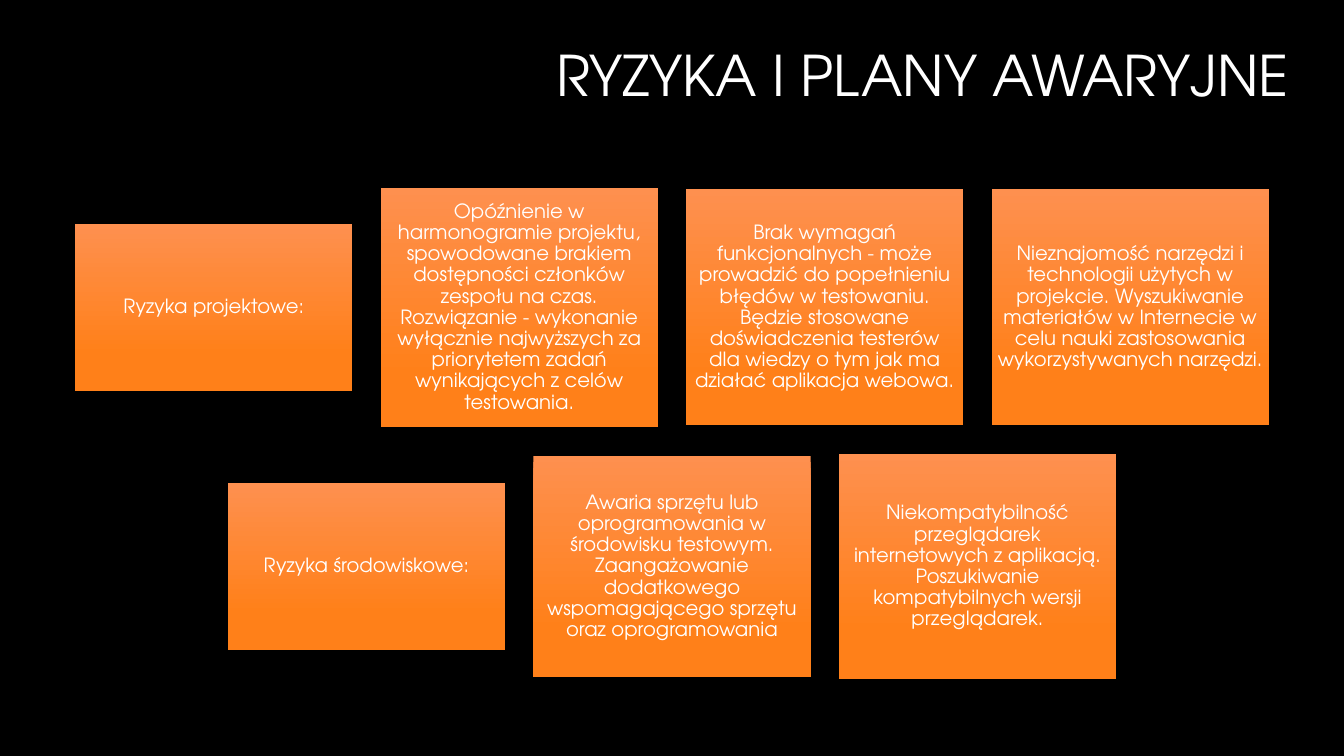
from pptx import Presentation
from pptx.dml.color import RGBColor as Rgb
from pptx.enum.shapes import MSO_SHAPE as Shape
from pptx.enum.text import MSO_ANCHOR as Anchor, PP_ALIGN as Align
from pptx.util import Inches, Pt

COLORS = {"back": "000000", "text": "FFFFFF", "light": "FE904F", "deep": "FF8019"}
FONT = "TeX Gyre Adventor"
WIDTH, HEIGHT = 13.33, 7.5
CARD, GAP = 2.75, 0.28
STEP = CARD + GAP

# Each row: vertical centre, then (card height, text) from left to right
ROWS = [
    (3.05, [
        (1.65, "Ryzyka projektowe:"),
        (2.37, "Opóźnienie w harmonogramie projektu, spowodowane brakiem "
               "dostępności członków zespołu na czas. Rozwiązanie - wykonanie "
               "wyłącznie najwyższych za priorytetem zadań wynikających z celów "
               "testowania."),
        (2.34, "Brak wymagań funkcjonalnych - może prowadzić do popełnieniu "
               "błędów w testowaniu. Będzie stosowane doświadczenia testerów dla "
               "wiedzy o tym jak ma działać aplikacja webowa."),
        (2.34, "Nieznajomość narzędzi i technologii użytych w projekcie. "
               "Wyszukiwanie materiałów w Internecie w celu nauki zastosowania "
               "wykorzystywanych narzędzi."),
    ]),
    (5.62, [
        (1.65, "Ryzyka środowiskowe:"),
        (2.2, "Awaria sprzętu lub oprogramowania w środowisku testowym. "
              "Zaangażowanie dodatkowego wspomagającego sprzętu oraz "
              "oprogramowania"),
        (2.23, "Niekompatybilność przeglądarek internetowych z aplikacją. "
               "Poszukiwanie kompatybilnych wersji przeglądarek."),
    ]),
]


class Deck:
    def __init__(self):
        self.prs = Presentation()
        self.prs.slide_width, self.prs.slide_height = Inches(WIDTH), Inches(HEIGHT)
        self.slide = self.prs.slides.add_slide(self.prs.slide_layouts[6])
        fill = self.slide.background.fill
        fill.solid()
        fill.fore_color.rgb = self.color("back")

    def color(self, name):
        return Rgb.from_string(COLORS[name])

    def add_text(self, frame, text, size, align):
        frame.word_wrap = True
        frame.vertical_anchor = Anchor.MIDDLE
        para = frame.paragraphs[0]
        para.alignment = align
        para.line_spacing = 0.9
        run = para.add_run()
        run.text = text
        run.font.name = FONT
        run.font.size = Pt(size)
        run.font.color.rgb = self.color("text")

    def title(self, text, *box):
        area = self.slide.shapes.add_textbox(*map(Inches, box))
        self.add_text(area.text_frame, text, 40, Align.RIGHT)

    def card(self, text, *box):
        card = self.slide.shapes.add_shape(Shape.RECTANGLE, *map(Inches, box))
        card.shadow.inherit = False
        card.line.fill.background()
        card.fill.gradient()
        card.fill.gradient_angle = 270
        shades = [(0, "light"), (0.78, "deep")]
        for stop, (place, name) in zip(card.fill.gradient_stops, shades):
            stop.position = place
            stop.color.rgb = self.color(name)
        frame = card.text_frame
        frame.margin_left = frame.margin_right = Inches(0.06)
        frame.margin_top = frame.margin_bottom = Inches(0.06)
        self.add_text(frame, text, 14, Align.CENTER)

    def row(self, middle, cards):
        """Centre a row of cards on the slide and on the given height."""
        left = (WIDTH - CARD - STEP * (len(cards) - 1)) / 2
        for col, (high, text) in enumerate(cards):
            self.card(text, left + col * STEP, middle - high / 2, CARD, high)


def main():
    deck = Deck()
    deck.title("RYZYKA I PLANY AWARYJNE", 3.46, 0.26, 9.42, 1.04)
    for middle, cards in ROWS:
        deck.row(middle, cards)
    deck.prs.save("out.pptx")


if __name__ == "__main__":
    main()
